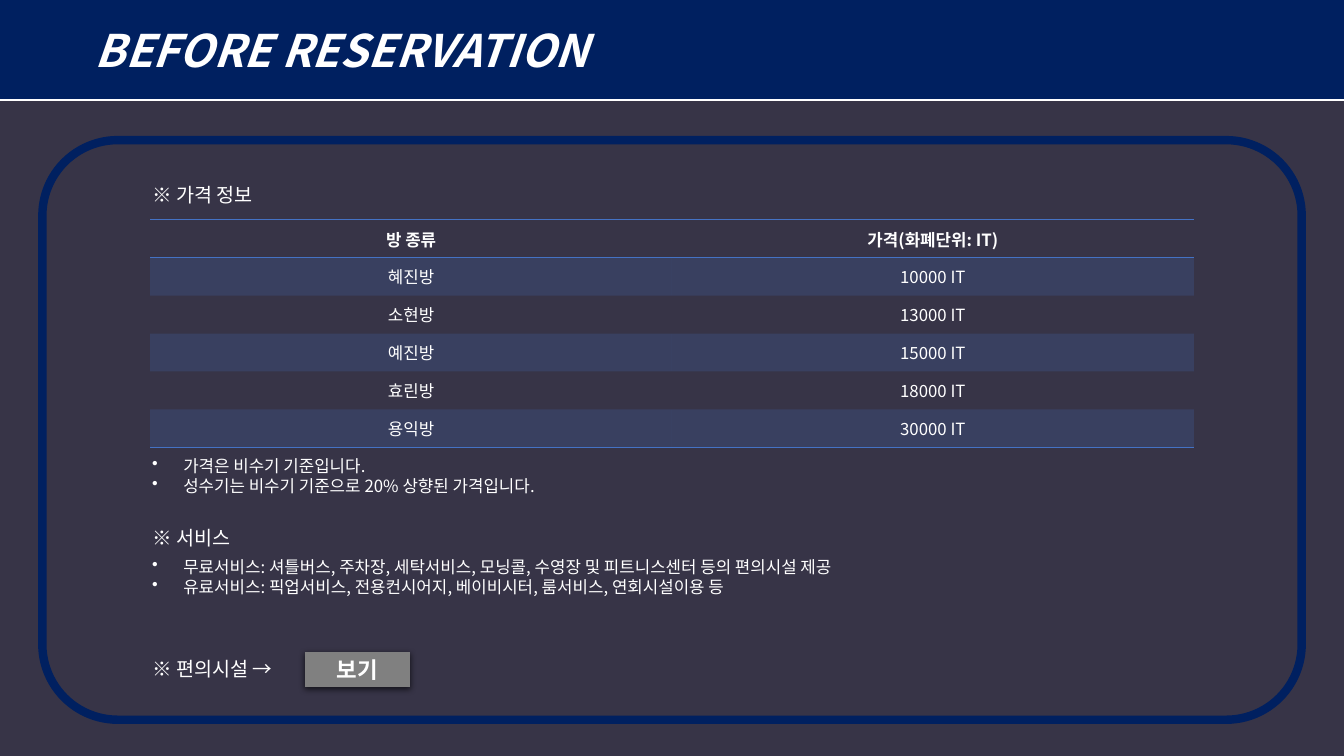
from lxml import etree
from pptx import Presentation
from pptx.dml.color import RGBColor
from pptx.enum import shapes, text
from pptx.oxml import ns
from pptx.util import Inches, Pt

FONT = "Noto Sans CJK KR"
NO_STYLE = "{2D5ABB26-0587-4C30-8999-92F81FD0307C}"
WHITE = RGBColor(0xFF, 0xFF, 0xFF)
NAVY = RGBColor(0x00, 0x20, 0x60)
SLATE = RGBColor(0x37, 0x34, 0x47)
BLUE = RGBColor(0x44, 0x72, 0xC4)
GRAY = RGBColor(0x80, 0x80, 0x80)
BLACK = RGBColor(0x00, 0x00, 0x00)


def add(parent, tag, **attributes):
    return etree.SubElement(parent, ns.qn(tag), attributes)


def write(frame, lines, size, bold=False, align=text.PP_ALIGN.LEFT, bullet=False):
    frame.word_wrap = True
    frame.text = "\n".join(lines)
    for paragraph in frame.paragraphs:
        paragraph.alignment = align
        paragraph.font.name = FONT
        paragraph.font.size = Pt(size)
        paragraph.font.bold = bold
        paragraph.font.color.rgb = WHITE
        properties = paragraph._p.get_or_add_pPr()
        add(properties.find(ns.qn("a:defRPr")), "a:ea", typeface=FONT)
        for run in paragraph.runs:
            run.font.name = FONT
            run.font.size = Pt(size)
            run.font.bold = bold
            run.font.color.rgb = WHITE
            add(run._r.get_or_add_rPr(), "a:ea", typeface=FONT)
        if bullet:
            properties.set("marL", str(Inches(0.31)))
            properties.set("indent", str(-Inches(0.31)))
            mark = etree.Element(ns.qn("a:buChar"), char="•")
            properties.insert(0, mark)


prs = Presentation()
prs.slide_width, prs.slide_height = Inches(13.33), Inches(7.5)
slide = prs.slides.add_slide(prs.slide_layouts[6])
slide.background.fill.solid()
slide.background.fill.fore_color.rgb = SLATE

for height, color in ((1, WHITE), (0.98, NAVY)):
    banner = slide.shapes.add_shape(
        shapes.MSO_SHAPE.ROUND_2_SAME_RECTANGLE, 0, 0, prs.slide_width, Inches(height))
    banner.adjustments[0] = banner.adjustments[1] = 0
    banner.shadow.inherit = False
    banner.fill.solid()
    banner.fill.fore_color.rgb = color
    banner.line.fill.background()

title = banner.text_frame
title.margin_left, title.margin_right = Inches(0.94), Inches(0.2)
title.vertical_anchor = text.MSO_ANCHOR.MIDDLE
write(title, ["BEFORE RESERVATION"], 32, bold=True)
title.paragraphs[0].font.italic = True
title.paragraphs[0].runs[0].font.italic = True

prices = [
    ("방 종류", "가격(화폐단위: IT)"),
    ("혜진방", "10000 IT"),
    ("소현방", "13000 IT"),
    ("예진방", "15000 IT"),
    ("효린방", "18000 IT"),
    ("용익방", "30000 IT"),
]
price_table = slide.shapes.add_table(
    len(prices), 2, Inches(1.49), Inches(2.18), Inches(10.35), Inches(2.26)).table
price_table._tbl.tblPr.find(ns.qn("a:tableStyleId")).text = NO_STYLE
borders = {0: ("a:lnT", "a:lnB"), len(prices) - 1: ("a:lnB",)}
for row, values in enumerate(prices):
    for column, value in enumerate(values):
        cell = price_table.cell(row, column)
        cell.vertical_anchor = text.MSO_ANCHOR.MIDDLE
        write(cell.text_frame, [value], 12, bold=row == 0, align=text.PP_ALIGN.CENTER)
        cell_properties = cell._tc.get_or_add_tcPr()
        for side in borders.get(row, ()):
            edge = add(cell_properties, side, w=str(Pt(1)))
            add(add(edge, "a:solidFill"), "a:srgbClr", val=str(BLUE))
        if row % 2:
            cell.fill.solid()
            cell.fill.fore_color.rgb = BLUE
            tint = cell_properties.find(ns.qn("a:solidFill")).find(ns.qn("a:srgbClr"))
            add(tint, "a:alpha", val="20000")
        else:
            cell.fill.background()

price_notes = ["가격은 비수기 기준입니다.", "성수기는 비수기 기준으로 20% 상향된 가격입니다."]
services = [
    "무료서비스: 셔틀버스, 주차장, 세탁서비스, 모닝콜, 수영장 및 피트니스센터 등의 편의시설 제공",
    "유료서비스: 픽업서비스, 전용컨시어지, 베이비시터, 룸서비스, 연회시설이용 등",
]
for top, width, height, size, lines in (
    (4.47, 10.43, 0.5, 12, price_notes),
    (1.77, 3.21, 0.34, 14, ["※ 가격 정보"]),
    (5.17, 3.21, 0.34, 14, ["※ 서비스"]),
    (5.47, 10.43, 0.5, 12, services),
    (6.47, 1.7, 0.34, 14, ["※ 편의시설 →"]),
):
    section = slide.shapes.add_textbox(
        Inches(1.41), Inches(top), Inches(width), Inches(height)).text_frame
    write(section, lines, size, bullet=len(lines) > 1)
    section.auto_size = text.MSO_AUTO_SIZE.SHAPE_TO_FIT_TEXT

view_button = slide.shapes.add_shape(
    shapes.MSO_SHAPE.ACTION_BUTTON_CUSTOM, Inches(3.02), Inches(6.47), Inches(1.05), Inches(0.35))
view_button.shadow.inherit = False
view_button.fill.solid()
view_button.fill.fore_color.rgb = GRAY
view_button.line.fill.background()
view_button.text_frame.vertical_anchor = text.MSO_ANCHOR.MIDDLE
write(view_button.text_frame, ["보기"], 16, bold=True, align=text.PP_ALIGN.CENTER)
shadow = add(view_button._element.spPr.find(ns.qn("a:effectLst")), "a:outerShdw",
             blurRad=str(Pt(4.5)), dist=str(Pt(1.5)), dir="5400000", rotWithShape="0")
add(add(shadow, "a:srgbClr", val=str(BLACK)), "a:alpha", val="63000")

frame = slide.shapes.add_shape(
    shapes.MSO_SHAPE.ROUNDED_RECTANGLE, Inches(0.42), Inches(1.39), Inches(12.49), Inches(5.75))
frame.adjustments[0] = 0.13
frame.shadow.inherit = False
frame.fill.background()
frame.line.color.rgb = NAVY
frame.line.width = Pt(6)

prs.save("out.pptx")
